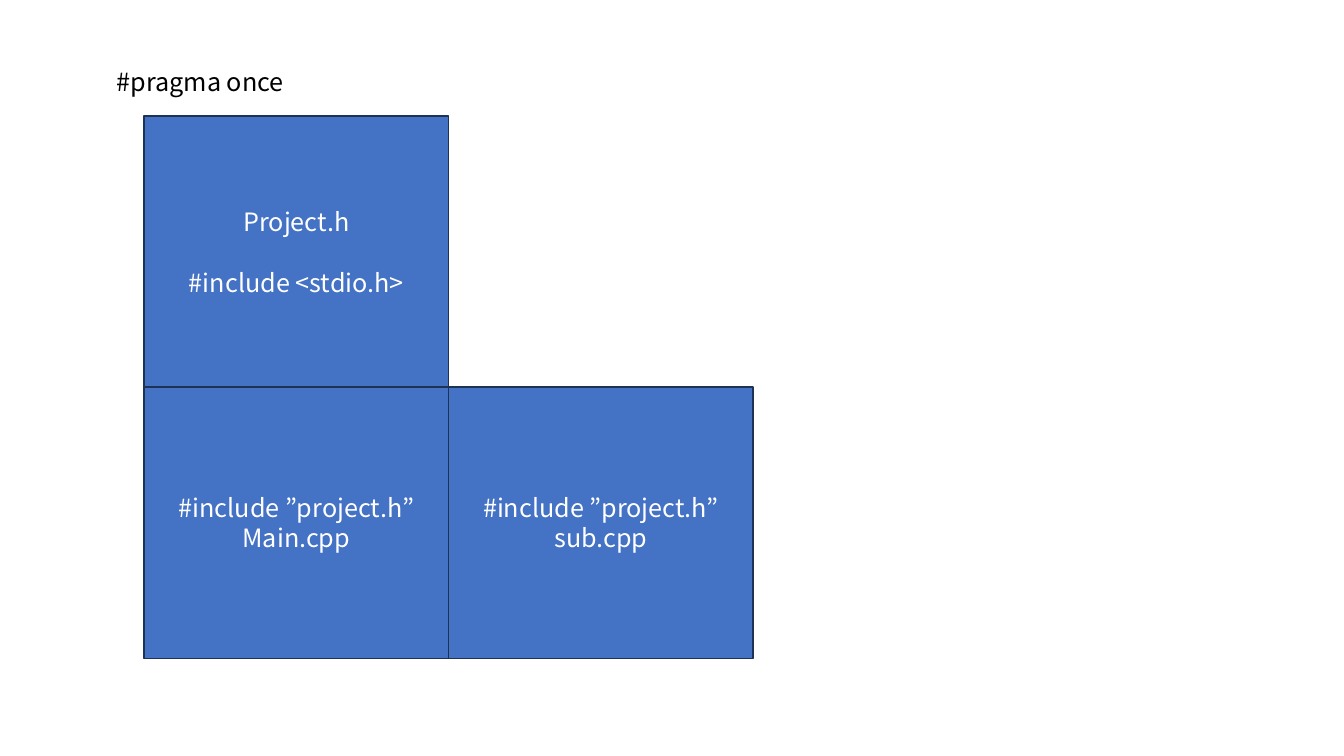
import pptx
import pptx.util
from pptx.dml.color import RGBColor
from pptx.enum.shapes import MSO_SHAPE
from pptx.enum.text import MSO_ANCHOR, MSO_AUTO_SIZE, PP_ALIGN

Inches, Pt = pptx.util.Inches, pptx.util.Pt

# column, row, paragraphs as (text, space before in points)
FILES = [
    (0, 1, [("#include ”project.h”", 0), ("Main.cpp", 0)]),
    (1, 1, [("#include ”project.h” sub.cpp", 0)]),
    (0, 0, [("Project.h", 0), ("#include <stdio.h>", 22)]),
]
GUARD = "#pragma once"

COLORS = {"box": "4472C4", "edge": "1E3256", "light": "FFFFFF", "dark": "000000"}
FONT, SIZE = "Noto Sans CJK KR", 18
LEFT, TOP, BOX_W, BOX_H = 1.43, 1.15, 3.02, 2.69


def color(name):
    return RGBColor.from_string(COLORS[name])


def write(p, text, name):
    r = p.add_run()
    r.text = text
    r.font.name = FONT
    r.font.size = Pt(SIZE)
    r.font.color.rgb = color(name)


def add_file(slide, col, row, lines):
    sp = slide.shapes.add_shape(
        MSO_SHAPE.RECTANGLE, Inches(LEFT + col * BOX_W), Inches(TOP + row * BOX_H),
        Inches(BOX_W), Inches(BOX_H))
    sp.shadow.inherit = False
    sp.fill.solid()
    sp.fill.fore_color.rgb = color("box")
    sp.line.color.rgb = color("edge")
    sp.line.width = Pt(1)
    tf = sp.text_frame
    tf.word_wrap = True
    tf.vertical_anchor = MSO_ANCHOR.MIDDLE
    for i, (text, gap) in enumerate(lines):
        p = tf.add_paragraph() if i else tf.paragraphs[0]
        p.alignment = PP_ALIGN.CENTER
        p.space_before = Pt(gap)
        write(p, text, "light")


def add_guard(slide):
    sp = slide.shapes.add_textbox(Inches(1.06), Inches(0.61), Inches(1.87), Inches(0.4))
    tf = sp.text_frame
    tf.word_wrap = False
    tf.auto_size = MSO_AUTO_SIZE.SHAPE_TO_FIT_TEXT
    write(tf.paragraphs[0], GUARD, "dark")


def main():
    prs = pptx.Presentation()
    prs.slide_width, prs.slide_height = Inches(13.33), Inches(7.5)
    slide = prs.slides.add_slide(prs.slide_layouts[6])
    for col, row, lines in FILES:
        add_file(slide, col, row, lines)
    add_guard(slide)
    prs.save("out.pptx")


if __name__ == "__main__":
    main()
